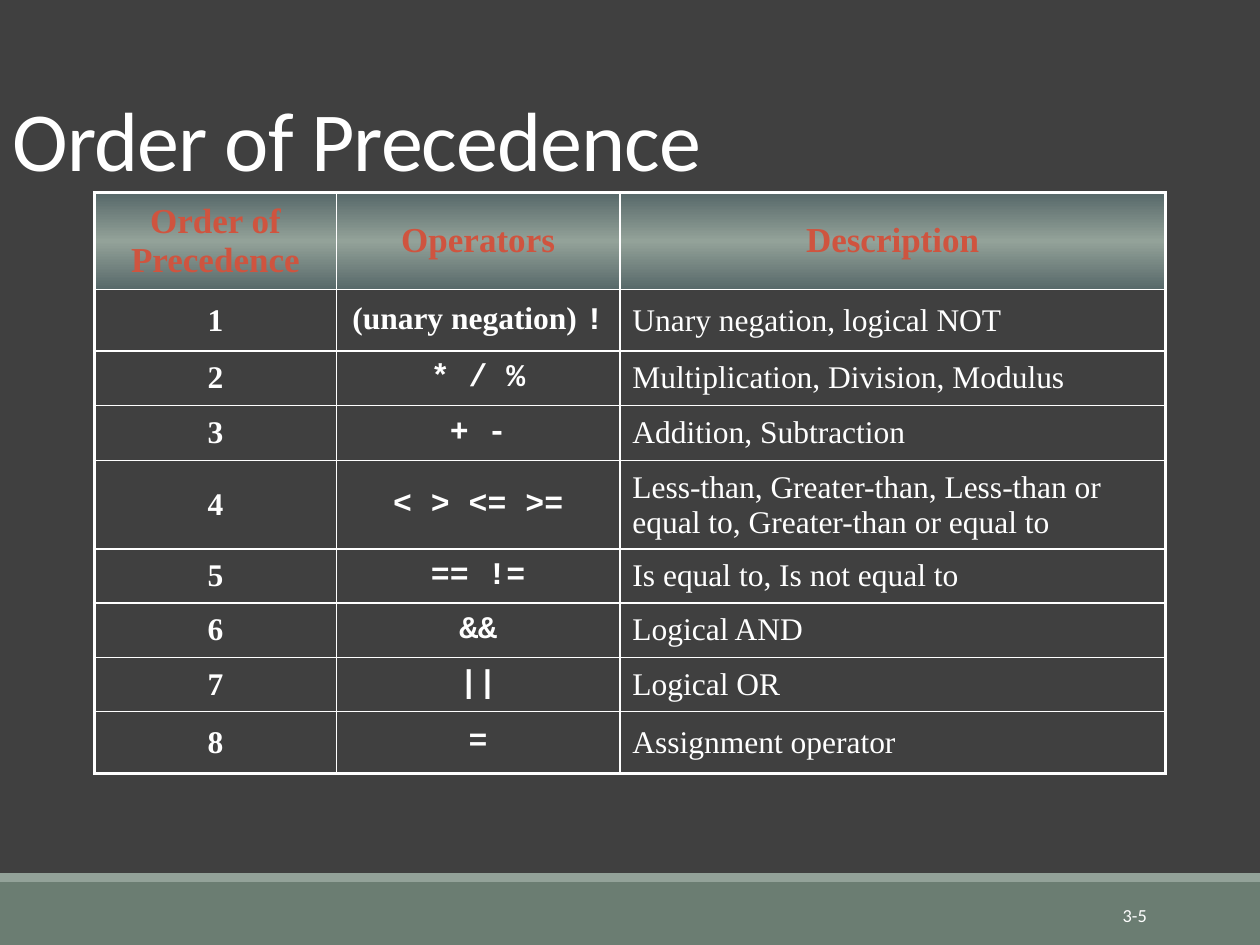
import pptx
import pptx.util
import pptx.dml.color
import pptx.enum.shapes
import pptx.enum.text
import pptx.oxml
import pptx.oxml.ns

Inches = pptx.util.Inches
Pt = pptx.util.Pt
ALIGN = pptx.enum.text.PP_ALIGN
ANCHOR = pptx.enum.text.MSO_ANCHOR
NAMESPACE = pptx.oxml.ns.nsdecls("a")

WHITE, ACCENT = "FFFFFF", "CF543F"
SANS, SERIF, MONO = "Calibri", "Times New Roman", "Courier New"
THIN, THICK = 1, 2.25


def color(value):
    """Turn a hex string into a colour."""
    return pptx.dml.color.RGBColor.from_string(value)


class SlideBuilder:
    """Hold the current slide and its style."""

    def __init__(self, page, background):
        """Start on a page with a plain background."""
        self.page = page
        page.background.fill.solid()
        page.background.fill.fore_color.rgb = color(background)

    def bar(self, left, top, width, height, fill):
        """Draw a filled rectangle without an outline."""
        shape = self.page.shapes.add_shape(
            pptx.enum.shapes.MSO_SHAPE.RECTANGLE,
            Inches(left), Inches(top), Inches(width), Inches(height))
        shape.shadow.inherit = False
        shape.fill.solid()
        shape.fill.fore_color.rgb = color(fill)
        shape.line.fill.background()

    def span(self, para, text, size, font, hue=WHITE, bold=False):
        """Add one run of text."""
        span = para.add_run()
        span.text = text
        span.font.size = Pt(size)
        span.font.name = font
        span.font.bold = bold
        span.font.color.rgb = color(hue)
        return span

    def text(self, left, top, width, height, text, size, anchor, align=ALIGN.LEFT,
             line_spacing=None, tracking=None):
        """Place a text box with one paragraph."""
        box = self.page.shapes.add_textbox(
            Inches(left), Inches(top), Inches(width), Inches(height))
        frame = box.text_frame
        frame.word_wrap = True
        frame.vertical_anchor = anchor
        para = frame.paragraphs[0]
        para.alignment = align
        para.line_spacing = line_spacing
        span = self.span(para, text, size, SANS)
        if tracking is not None:
            span.font._element.set("spc", str(int(tracking * 100)))

    def borders(self, cell, widths):
        """Draw the four cell borders in white."""
        properties = cell._tc.get_or_add_tcPr()
        for side in "LRTB":
            properties.append(pptx.oxml.parse_xml(
                f'<a:ln{side} {NAMESPACE} w="{Pt(widths[side])}"><a:solidFill>'
                f'<a:srgbClr val="{WHITE}"/></a:solidFill></a:ln{side}>'))

    def gradient(self, cell, stops):
        """Fill a cell with a vertical gradient."""
        marks = "".join(f'<a:gs pos="{place * 1000}"><a:srgbClr val="{hue}"/></a:gs>'
                        for place, hue in stops)
        cell._tc.get_or_add_tcPr().append(pptx.oxml.parse_xml(
            f'<a:gradFill {NAMESPACE} rotWithShape="1"><a:gsLst>{marks}</a:gsLst>'
            '<a:lin ang="5400000" scaled="1"/></a:gradFill>'))

    def table(self, left, top, widths, heights, rows):
        """Build the table: a gradient header over plain body rows."""
        table = self.page.shapes.add_table(
            len(rows), len(widths), Inches(left), Inches(top),
            Inches(sum(widths)), Inches(sum(heights))).table
        table.first_row = table.horz_banding = False
        for column, width in zip(table.columns, widths):
            column.width = Inches(width)
        last_row, last_column = len(rows) - 1, len(widths) - 1
        for r, row in enumerate(rows):
            table.rows[r].height = Inches(heights[r])
            for c, spans in enumerate(row):
                cell = table.cell(r, c)
                cell.vertical_anchor = ANCHOR.MIDDLE
                self.borders(cell, {
                    "L": THICK if c == 0 else THIN,
                    "R": THICK if c == last_column else THIN,
                    "T": THICK if r == 0 else THIN,
                    "B": THICK if r == last_row else THIN})
                header = r == 0
                if header:
                    self.gradient(cell, [(0, "576869"), (50, "93A299"), (100, "576869")])
                else:
                    cell.fill.background()
                centered = header or c < last_column
                para = cell.text_frame.paragraphs[0]
                para.alignment = ALIGN.CENTER if centered else ALIGN.LEFT
                for text, font in spans:
                    self.span(para, text, 20 if header else 18, font,
                              ACCENT if header else WHITE, bold=centered)


HEADERS = ["Order of Precedence", "Operators", "Description"]
OPERATORS = [
    ([("(unary negation) ", SERIF), ("!", MONO)], "Unary negation, logical NOT"),
    ([("* / %", MONO)], "Multiplication, Division, Modulus"),
    ([("+ -", MONO)], "Addition, Subtraction"),
    ([("< > <= >=", MONO)],
     "Less-than, Greater-than, Less-than or equal to, Greater-than or equal to"),
    ([("== !=", MONO)], "Is equal to, Is not equal to"),
    ([("&&", MONO)], "Logical AND"),
    ([("||", MONO)], "Logical OR"),
    ([("=", MONO)], "Assignment operator"),
]

deck = pptx.Presentation()
deck.slide_width, deck.slide_height = Inches(10), Inches(7.5)
slide = SlideBuilder(deck.slides.add_slide(deck.slide_layouts[6]), "404040")

slide.bar(0, 7, 10, 0.5, "6B7D72")
slide.bar(0, 6.93, 10, 0.07, "93A299")
slide.text(8.12, 7.06, 1.08, 0.4, "3-5", 10.5, ANCHOR.MIDDLE, ALIGN.RIGHT)
slide.text(0, 0.3, 9, 1.25, "Order of Precedence", 48, ANCHOR.BOTTOM,
           line_spacing=0.85, tracking=-0.5)

rows = [[[(header, SERIF)] for header in HEADERS]]
for rank, (symbols, meaning) in enumerate(OPERATORS, start=1):
    rows.append([[(str(rank), SERIF)], symbols, [(meaning, SERIF)]])
slide.table(0.75, 1.53, [1.92, 2.25, 4.33],
            [0.71, 0.49, 0.43, 0.44, 0.65, 0.43, 0.43, 0.43, 0.49], rows)

deck.save("out.pptx")
